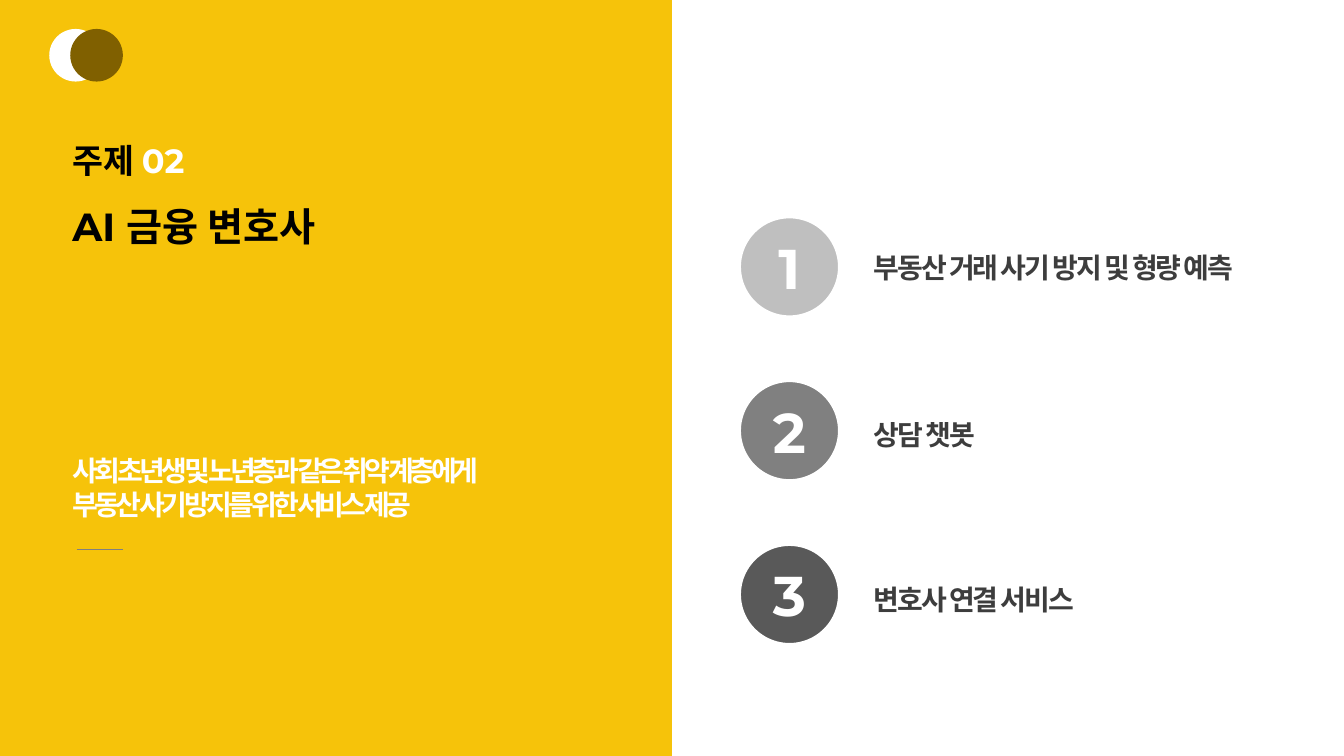
from lxml.etree import SubElement
from pptx import Presentation
from pptx.dml.color import RGBColor
from pptx.enum.shapes import MSO_CONNECTOR as Connector, MSO_SHAPE as Shape
from pptx.enum.text import MSO_ANCHOR as Anchor, MSO_AUTO_SIZE as AutoSize, PP_ALIGN as Align
from pptx.oxml.ns import qn
from pptx.util import Pt

COLORS = {
    "yellow": "F6C30A", "white": "FFFFFF", "black": "000000", "ink": "0D0D0D",
    "brown": "806000", "light": "BFBFBF", "middle": "808080", "dark": "595959",
}
LATIN, KOREAN = "Montserrat", "Noto Sans CJK KR"

TOPIC = [[("주제 ", "black"), ("02", "white")]]
TITLE = [[("AI 금융 변호사", "black")]]
SUMMARY = [
    [("사회 초년생 및 노년층과 같은 취약 계층에게", "white")],
    [("부동산 사기 방지를 위한 서비스 제공", "white")],
]
SERVICES = [
    ("부동산 거래 사기 방지 및 형량 예측", "light", 170.6, 314.6),
    ("상담 챗봇", "middle", 290.2, 95),
    ("변호사 연결 서비스", "dark", 407.5, 175),
]
LOGO_CIRCLES = [(35.2, "white"), (50.2, "brown")]

MARGIN = 44.7
CIRCLE_LEFT, CIRCLE_TOP, CIRCLE_SIZE, CIRCLE_PITCH = 525, 151.7, 77.8, 117
LABEL_LEFT = 617


def color(name):
    return RGBColor.from_string(COLORS[name])


def write(frame, lines, size, font=LATIN, spacing=0, opacity=100, align=Align.LEFT, leading=None):
    for index, line in enumerate(lines):
        para = frame.paragraphs[0] if index == 0 else frame.add_paragraph()
        para.alignment = align
        if leading:
            para.line_spacing = leading
        for text, ink in line:
            span = para.add_run()
            span.text = text
            span.font.size, span.font.bold, span.font.name = Pt(size), True, font
            span.font.color.rgb = color(ink)
            props = span.font._element if hasattr(span.font, "_element") else span.font._rPr
            SubElement(props, qn("a:ea")).set("typeface", KOREAN)
            if spacing:
                props.set("spc", str(round(spacing * 100)))
            if opacity < 100:
                tint = props.find(qn("a:solidFill"))[0]
                SubElement(tint, qn("a:alpha")).set("val", str(opacity * 1000))


def add_text(left, top, width, height, lines, **style):
    box = page.shapes.add_textbox(Pt(left), Pt(top), Pt(width), Pt(height))
    box.text_frame.word_wrap = False
    box.text_frame.auto_size = AutoSize.SHAPE_TO_FIT_TEXT
    write(box.text_frame, lines, **style)


def add_block(shapes, kind, left, top, width, height, fill, border=0):
    block = shapes.add_shape(kind, Pt(left), Pt(top), Pt(width), Pt(height))
    block.shadow.inherit = False
    block.fill.solid()
    block.fill.fore_color.rgb = color(fill)
    if border:
        block.line.color.rgb = color("white")
        block.line.width = Pt(border)
    else:
        block.line.fill.background()
    return block


deck = Presentation()
deck.slide_width, deck.slide_height = Pt(960), Pt(540)
page = deck.slides.add_slide(deck.slide_layouts[6])

add_block(page.shapes, Shape.RECTANGLE, 0, 0, 480, 540, "yellow")
add_text(MARGIN, 96.5, 103.7, 36, TOPIC, size=24)
add_text(MARGIN, 141, 208, 41, TITLE, size=28)
add_text(MARGIN, 320.4, 352, 55.4, SUMMARY, size=20, font=KOREAN, spacing=-3)

for index, (label, fill, label_top, label_width) in enumerate(SERVICES):
    circle = add_block(page.shapes, Shape.OVAL, CIRCLE_LEFT, CIRCLE_TOP + index * CIRCLE_PITCH,
                       CIRCLE_SIZE, CIRCLE_SIZE, fill, border=8.5)
    circle.text_frame.vertical_anchor = Anchor.MIDDLE
    write(circle.text_frame, [[(str(index + 1), "white")]], size=40, align=Align.CENTER)
    add_text(LABEL_LEFT, label_top, label_width, 62.6, [[(label, "ink")]], size=20,
             font=KOREAN, spacing=-1.5, opacity=80, leading=1.2)

rule = page.shapes.add_connector(Connector.STRAIGHT, Pt(55), Pt(392.3), Pt(88), Pt(392.3))
rule.line.color.rgb = color("middle")
rule.line.width = Pt(0.5)
SubElement(rule._element.spPr, qn("a:effectLst"))

logo = page.shapes.add_group_shape()
for left, fill in LOGO_CIRCLES:
    add_block(logo.shapes, Shape.OVAL, left, 20.7, 37.6, 37.6, fill)

deck.save("out.pptx")
